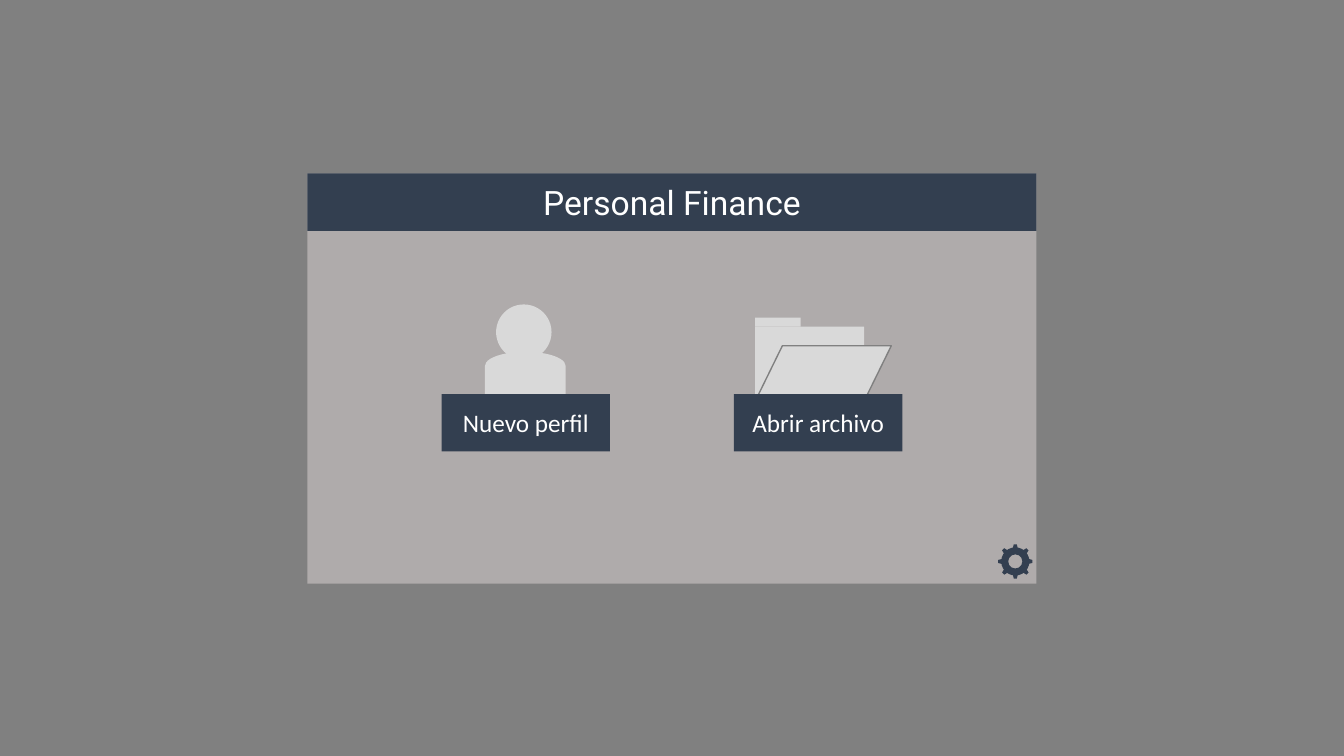
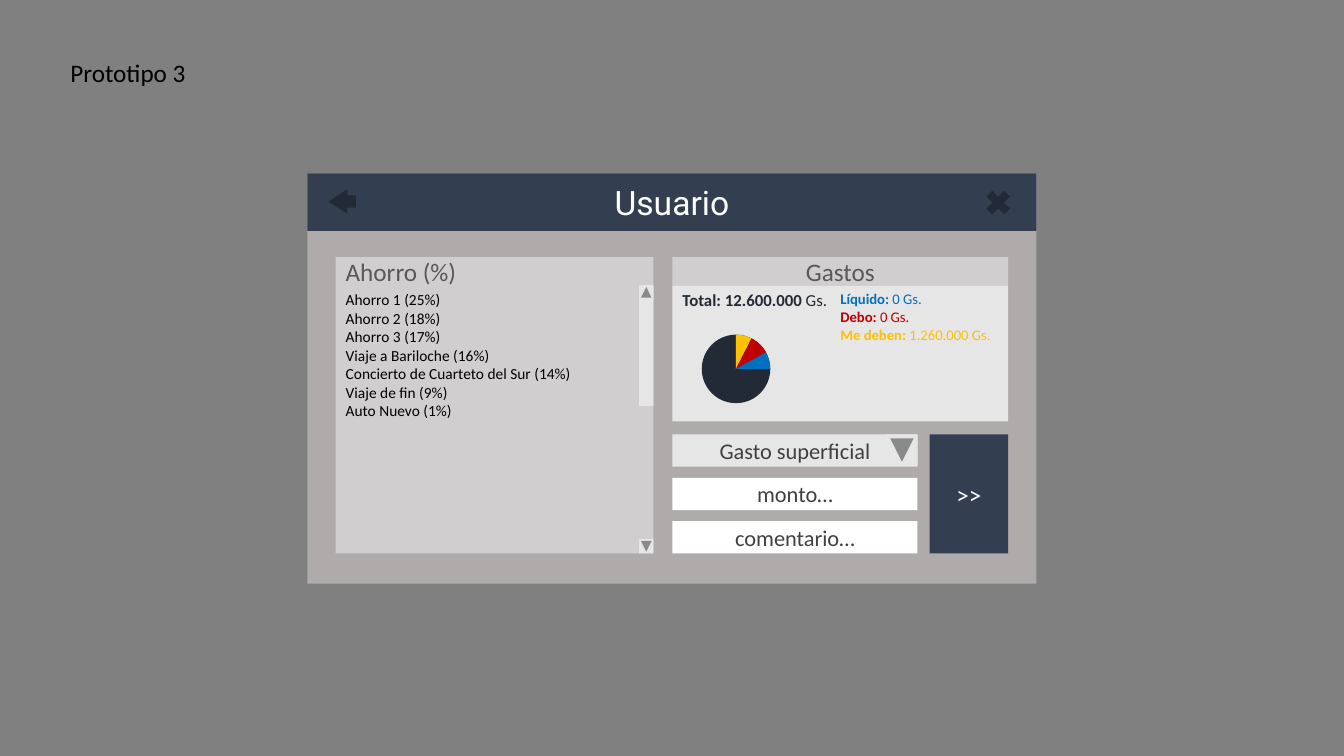
import math
from pptx import Presentation
from pptx import util as u
from pptx.dml.color import RGBColor
from pptx.enum import shapes, text

G = shapes.MSO_SHAPE
AL, ANC = text.PP_ALIGN, text.MSO_ANCHOR
C = {
    "bg": "808080", "window": "AFABAB", "navy": "333F50", "dark": "222A35",
    "icon": "D9D9D9", "panel": "D0CECE", "light": "E7E6E6", "white": "FFFFFF",
    "black": "000000", "heading": "595959", "field": "404040",
    "blue": "0070C0", "red": "C00000", "yellow": "FFC000",
}
WINDOW = (3.05, 1.72, 7.23, 4.07)
BAR_H = 0.57


def rgb(name):
    return RGBColor.from_string(C[name])


def shape(parent, kind, box, fill, rot=0, line=None):
    """Flat preset shape; box is left, top, width, height in inches."""
    sp = parent.add_shape(kind, *map(u.Inches, box))
    sp.shadow.inherit = False
    sp.fill.solid()
    sp.fill.fore_color.rgb = rgb(fill)
    if line:
        sp.line.color.rgb = rgb(line)
        sp.line.width = u.Pt(1)
    else:
        sp.line.fill.background()
    sp.rotation = rot
    return sp


def write(sp, paras, size, color, align=AL.CENTER, anchor=ANC.MIDDLE,
          font="Calibri", wrap=True):
    """Each paragraph is a string or a list of (text, bold, colour) runs."""
    tf = sp.text_frame
    tf.word_wrap = wrap
    tf.vertical_anchor = anchor
    for i, runs in enumerate(paras):
        p = tf.add_paragraph() if i else tf.paragraphs[0]
        p.alignment = align
        for words, bold, tint in [(runs, False, color)] if isinstance(runs, str) else runs:
            r = p.add_run()
            r.text = words
            r.font.name, r.font.size, r.font.bold = font, u.Pt(size), bold
            r.font.color.rgb = rgb(tint)


def textbox(s, box, paras, size, color, inset=0.1, wrap=True):
    tb = s.shapes.add_textbox(*map(u.Inches, box))
    tb.text_frame.margin_left = tb.text_frame.margin_right = u.Inches(inset)
    write(tb, paras, size, color, AL.LEFT, ANC.TOP, wrap=wrap)


def label(parent, box, fill, words, size, color, align=AL.CENTER):
    write(shape(parent, G.RECTANGLE, box, fill), [words], size, color, align)


def app_slide(prs, title):
    """Blank slide with the app window and its title bar."""
    s = prs.slides.add_slide(prs.slide_layouts[6])
    s.background.fill.solid()
    s.background.fill.fore_color.rgb = rgb("bg")
    x, y, w, _ = WINDOW
    shape(s.shapes, G.RECTANGLE, WINDOW, "window")
    bar = shape(s.shapes, G.RECTANGLE, (x, y, w, BAR_H), "navy")
    write(bar, [title], 24, "white", font="Roboto")
    return s


# Start screen
def profile_button(s, box):
    x, y, _, _ = box
    g = s.shapes.add_group_shape().shapes
    shape(g, G.OVAL, (x + 0.54, y - 0.89, 0.55, 0.55), "icon")
    shape(g, G.FLOWCHART_STORED_DATA, (x + 0.41, y - 0.4, 0.84, 0.8), "icon", 90)
    label(g, box, "navy", "Nuevo perfil", 18, "white")


def folder_button(s, box):
    x, y, _, _ = box
    g = s.shapes.add_group_shape().shapes
    shape(g, G.RECTANGLE, (x + 0.21, y - 0.67, 1.08, 0.75), "icon")
    shape(g, G.FLOWCHART_DATA, (x + 0.21, y - 0.48, 1.35, 0.55), "icon", line="bg")
    shape(g, G.RECTANGLE, (x + 0.21, y - 0.76, 0.45, 0.09), "icon")
    label(g, box, "navy", "Abrir archivo", 18, "white")


def gear(s, box):
    x, y, w, h = box
    tooth, reach = 0.06, w / 2 - 0.03
    g = s.shapes.add_group_shape().shapes
    shape(g, G.DONUT, (x + 0.03, y + 0.03, w - 0.06, h - 0.06), "navy")
    for deg in range(0, 360, 45):
        a = math.radians(deg)
        left = x + w / 2 + reach * math.sin(a) - tooth / 2
        top = y + h / 2 - reach * math.cos(a) - tooth / 2
        shape(g, G.TRAPEZOID, (left, top, tooth, tooth), "navy", deg)


def start_screen(prs):
    s = app_slide(prs, "Personal Finance")
    profile_button(s, (4.38, 3.91, 1.67, BAR_H))
    folder_button(s, (7.28, 3.91, 1.67, BAR_H))
    gear(s, (9.9, 5.4, 0.34, 0.34))


# User screen
def bar_icons(s, box):
    x, y, w, _ = box
    close = (x + w - 0.55, y + 0.12, 0.34, 0.34)
    shape(s.shapes, G.MATH_MULTIPLY, close, "dark")
    back = shape(s.shapes, G.LEFT_ARROW, (x + 0.21, y + 0.16, 0.27, 0.24), "dark")
    back.adjustments[1] = 0.77


def savings_panel(s, box, items):
    x, y, w, h = box
    head, bar = 0.28, 0.14
    body = shape(s.shapes, G.RECTANGLE, (x, y + head, w, h - head), "panel")
    write(body, items, 11, "black", AL.LEFT, ANC.TOP)
    label(s.shapes, (x, y, w, head), "panel", "Ahorro (%)", 18, "heading", AL.LEFT)
    # Scroll bar with its two arrows
    left = x + w - bar
    shape(s.shapes, G.RECTANGLE, (left, y + head, bar, 1.2), "light")
    for top, rot in ((y + head, 270), (y + h - bar, 90)):
        shape(s.shapes, G.ACTION_BUTTON_FORWARD_OR_NEXT, (left, top, bar, bar), "light", rot)


def pie(s, box, slices):
    """Slices run clockwise from the top, as (degrees, colour)."""
    shape(s.shapes, G.OVAL, box, "dark")
    start = 270
    for sweep, color in slices:
        sp = shape(s.shapes, G.PIE, box, color)
        for i, deg in enumerate((start, start + sweep)):
            sp.adjustments[i] = deg % 360 * 0.6  # 60000 units a degree, scaled by 100000
        start += sweep


def expenses_panel(s, box):
    x, y, w, h = box
    head = 0.28
    top, half = y + head, w / 2
    shape(s.shapes, G.RECTANGLE, (x, top, w, h - head), "light")
    label(s.shapes, (x, y, w, head), "panel", "Gastos", 18, "heading")
    total = [("Total: 12.600.000", True, "dark"), (" Gs.", False, "dark")]
    textbox(s, (x, top, half, 0.3), [total], 12, "dark", wrap=False)
    amounts = [("Líquido: ", "0 Gs.", "blue"), ("Debo: ", "0 Gs.", "red"),
               ("Me deben: ", "1.260.000 Gs.", "yellow")]
    paras = [[(name, True, c), (value, False, c)] for name, value, c in amounts]
    textbox(s, (x + half, top, half, 0.65), paras, 10.5, "dark", inset=0)
    pie(s, (x + 0.29, top + 0.49, 0.68, 0.68),
        [(27, "yellow"), (34, "red"), (29, "blue")])


def entry_form(s, box):
    x, y, w, h = box
    field_w, field_h, send_w = 2.43, 0.32, 0.78
    step = (h - field_h) / 2
    fields = [("Gasto superficial", "light"), ("monto…", "white"), ("comentario…", "white")]
    for i, (words, fill) in enumerate(fields):
        label(s.shapes, (x, y + i * step, field_w, field_h), fill, words, 16, "field")
    # Drop-down arrow and send button
    arrow = (x + field_w - 0.31, y, 0.31, 0.31)
    shape(s.shapes, G.ACTION_BUTTON_FORWARD_OR_NEXT, arrow, "light", 90)
    label(s.shapes, (x + w - send_w, y, send_w, h), "navy", ">>", 18, "white")


def user_screen(prs):
    s = app_slide(prs, "Usuario")
    textbox(s, (0.6, 0.52, 1.36, 0.4), ["Prototipo 3"], 18, "black", wrap=False)
    bar_icons(s, WINDOW)
    savings_panel(s, (3.33, 2.55, 3.15, 2.94), [
        "Ahorro 1 (25%)", "Ahorro 2 (18%)", "Ahorro 3 (17%)",
        "Viaje a Bariloche (16%)", "Concierto de Cuarteto del Sur (14%)",
        "Viaje de fin (9%)", "Auto Nuevo (1%)"])
    expenses_panel(s, (6.67, 2.55, 3.33, 1.63))
    entry_form(s, (6.67, 4.31, 3.33, 1.18))


def main():
    prs = Presentation()
    prs.slide_width, prs.slide_height = u.Inches(13.33), u.Inches(7.5)
    start_screen(prs)
    user_screen(prs)
    prs.save("out.pptx")


if __name__ == "__main__":
    main()
